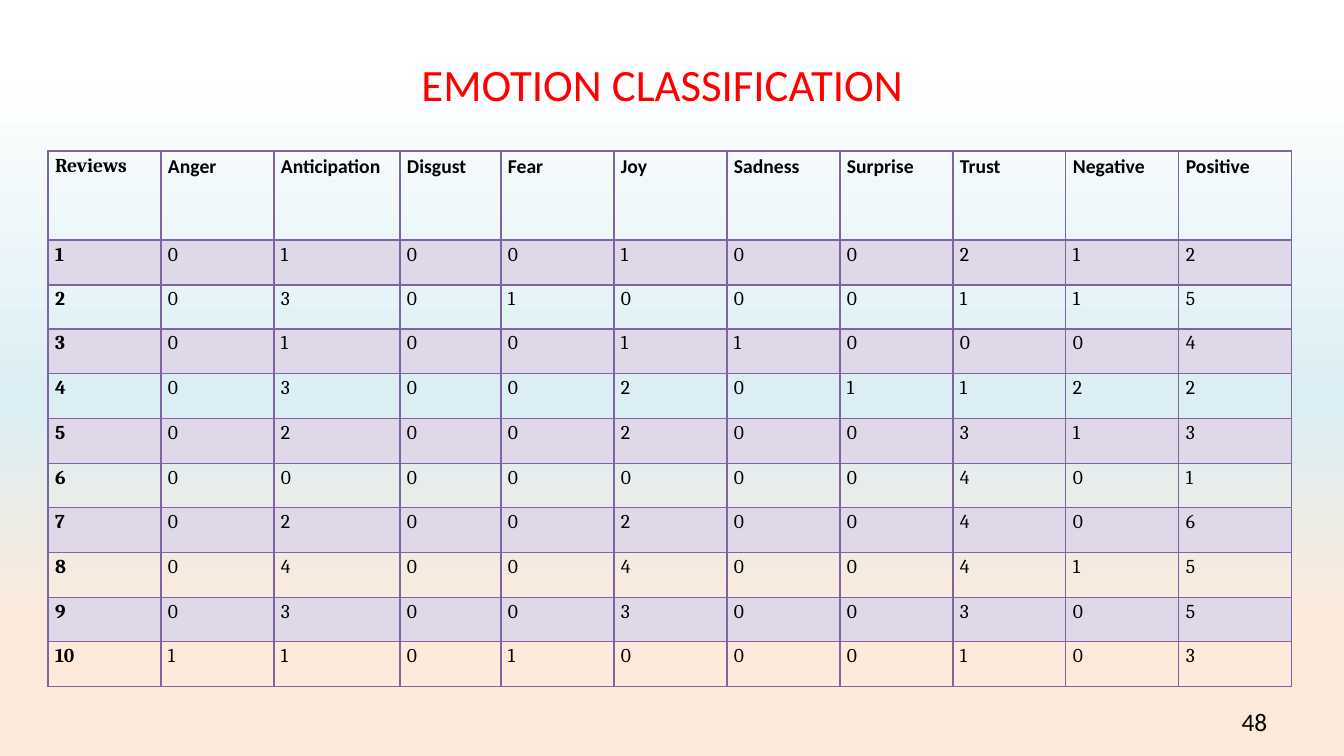
import copy
from dataclasses import dataclass

import pptx
import pptx.dml.color
import pptx.enum.text
import pptx.oxml
import pptx.oxml.ns
import pptx.util

PX = 914400 / 100.8
ALIGN = pptx.enum.text.PP_ALIGN
ANCHOR = pptx.enum.text.MSO_ANCHOR


@dataclass(frozen=True)
class Theme:
    title: str = "FF0000"
    text: str = "000000"
    border: str = "8064A2"
    band: str = "DFD8E8"
    backdrop: tuple = ((9, "FFFFFF"), (53, "DBEEF4"), (83, "FDEADA"))
    sans: str = "Calibri"
    serif: str = "Cambria"
    title_size: int = 32
    number_size: int = 18
    cell_size: int = 14
    thin: float = 1
    thick: float = 2.25


THEME = Theme()

EMOTIONS = ["Anger", "Anticipation", "Disgust", "Fear", "Joy", "Sadness",
            "Surprise", "Trust", "Negative", "Positive"]
SCORES = [
    [0, 1, 0, 0, 1, 0, 0, 2, 1, 2],
    [0, 3, 0, 1, 0, 0, 0, 1, 1, 5],
    [0, 1, 0, 0, 1, 1, 0, 0, 0, 4],
    [0, 3, 0, 0, 2, 0, 1, 1, 2, 2],
    [0, 2, 0, 0, 2, 0, 0, 3, 1, 3],
    [0, 0, 0, 0, 0, 0, 0, 4, 0, 1],
    [0, 2, 0, 0, 2, 0, 0, 4, 0, 6],
    [0, 4, 0, 0, 4, 0, 0, 4, 1, 5],
    [0, 3, 0, 0, 3, 0, 0, 3, 0, 5],
    [1, 1, 0, 1, 0, 0, 0, 1, 0, 3],
]

COLUMN_WIDTH = 113
SPECIAL_WIDTHS = {"Anticipation": 126, "Disgust": 101}
HEADER_HEIGHT = 89
BODY_HEIGHT = 447


def px(length):
    return pptx.util.Emu(round(length * PX))


def set_all(target, values):
    for name, value in values.items():
        setattr(target, name, value)


def write(para, text, font, size, color, bold=False):
    span = para.add_run()
    span.text = text
    set_all(span.font, {"name": font, "size": pptx.util.Pt(size), "bold": bold})
    span.font.color.rgb = pptx.dml.color.RGBColor.from_string(color)


def paint_background(page):
    fill = page.background.fill
    fill.gradient()
    fill.gradient_angle = 270
    stops = page.element.find(".//" + pptx.oxml.ns.qn("a:gsLst"))
    stops.append(copy.deepcopy(stops[-1]))
    for stop, (position, color) in zip(fill.gradient_stops, THEME.backdrop):
        stop.position = position / 100
        stop.color.rgb = pptx.dml.color.RGBColor.from_string(color)


def add_label(page, bounds, text, size, color, align):
    box = page.shapes.add_textbox(*map(px, bounds))
    set_all(box.text_frame, {"word_wrap": True, "vertical_anchor": ANCHOR.MIDDLE})
    para = box.text_frame.paragraphs[0]
    para.alignment = align
    write(para, text, THEME.sans, size, color)


def add_border(cell, side, width):
    cell._tc.get_or_add_tcPr().append(pptx.oxml.parse_xml(
        f'<a:ln{side} {pptx.oxml.ns.nsdecls("a")} w="{pptx.util.Pt(width)}">'
        f'<a:solidFill><a:srgbClr val="{THEME.border}"/></a:solidFill>'
        f'<a:prstDash val="solid"/></a:ln{side}>'))


def format_cell(cell, text, row, column):
    set_all(cell, {"margin_left": px(7), "margin_right": px(7),
                   "margin_top": 0, "margin_bottom": 0,
                   "vertical_anchor": ANCHOR.TOP})

    # Borders come before the fill; the header rule is heavier
    thick_side = {0: "B", 1: "T"}.get(row)
    for side in "LRTB":
        add_border(cell, side, THEME.thick if side == thick_side else THEME.thin)
    if row % 2:
        cell.fill.solid()
        cell.fill.fore_color.rgb = pptx.dml.color.RGBColor.from_string(THEME.band)
    else:
        cell.fill.background()

    para = cell.text_frame.paragraphs[0]
    para.line_spacing = 1.15
    font = THEME.sans if row == 0 and column > 0 else THEME.serif
    write(para, text, font, THEME.cell_size, THEME.text, row == 0 or column == 0)


def add_score_table(page, left, top):
    header = ["Reviews"] + EMOTIONS
    rows = [header] + [[review, *scores] for review, scores in enumerate(SCORES, 1)]
    widths = [SPECIAL_WIDTHS.get(name, COLUMN_WIDTH) for name in header]
    edges = [round(BODY_HEIGHT * i / len(SCORES)) for i in range(len(rows))]
    heights = [HEADER_HEIGHT] + [end - start for start, end in zip(edges, edges[1:])]

    table = page.shapes.add_table(
        len(rows), len(header), px(left), px(top),
        px(sum(widths)), px(sum(heights))).table
    set_all(table, {"first_row": False, "horz_banding": False})
    for column, width in zip(table.columns, widths):
        column.width = px(width)
    for row, height in zip(table.rows, heights):
        row.height = px(height)
    for r, values in enumerate(rows):
        for c, value in enumerate(values):
            format_cell(table.cell(r, c), str(value), r, c)


def main():
    deck = pptx.Presentation()
    set_all(deck, {"slide_width": px(1344), "slide_height": px(756)})
    page = deck.slides.add_slide(deck.slide_layouts[6])
    paint_background(page)

    # Title
    add_label(page, (24, 24, 1277, 119), "EMOTION CLASSIFICATION",
              THEME.title_size, THEME.title, ALIGN.CENTER)
    # Emotion counts for each review
    add_score_table(page, 48, 151)
    # Page number
    add_label(page, (964, 701, 313, 40), "48",
              THEME.number_size, THEME.text, ALIGN.RIGHT)

    deck.save("out.pptx")


if __name__ == "__main__":
    main()
